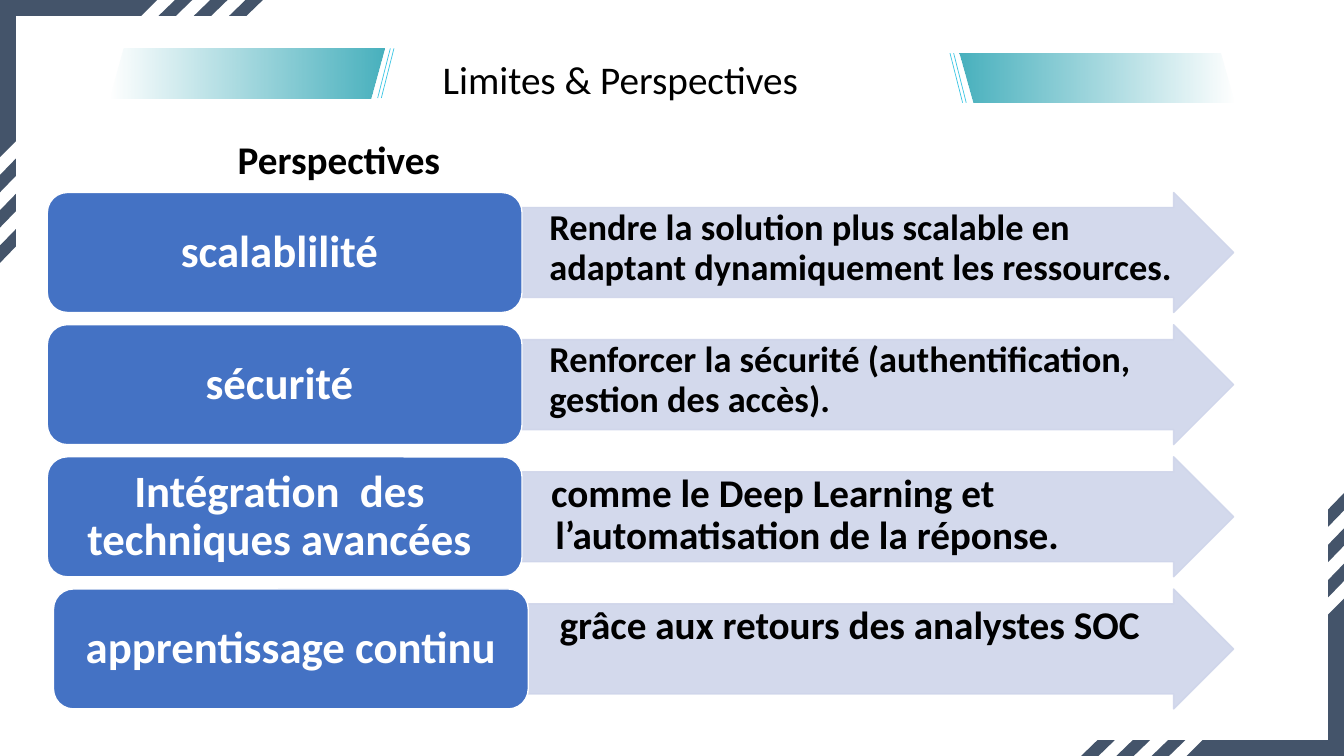
from dataclasses import dataclass

from lxml.etree import SubElement
from pptx import Presentation
from pptx.dml.color import RGBColor
from pptx.enum.shapes import MSO_CONNECTOR, MSO_SHAPE
from pptx.enum.text import MSO_ANCHOR, MSO_AUTO_SIZE, PP_ALIGN
from pptx.oxml.ns import qn
from pptx.util import Pt

WIDE, HIGH = 960, 540


@dataclass(frozen=True)
class Theme:
    font: str = "Calibri"
    ink: str = "000000"
    white: str = "FFFFFF"
    frame: str = "44546A"
    teal: str = "48B1BE"
    cyan: str = "3CC6E4"
    label: str = "4472C4"
    arrow: str = "CFD5EA"
    head: int = 28
    big: int = 32
    small: int = 26


@dataclass(frozen=True)
class Row:
    label: str
    text: str
    size: int
    margin: float
    indent: float = 0
    tail: float = 0  # extra right inset of the label
    shift: float = 0


THEME = Theme()
ROWS = [
    Row("scalablilité", "Rendre la solution plus scalable en adaptant dynamiquement les ressources.",
        THEME.small, 18, tail=7.4),
    Row("sécurité", "Renforcer la sécurité (authentification, gestion des accès).",
        THEME.small, 18, tail=7.4),
    Row("Intégration  des techniques avancées",
        "comme le Deep Learning et l’automatisation de la réponse.",
        THEME.head, 22.3, indent=-3, tail=7.4),
    Row("apprentissage continu", "grâce aux retours des analystes SOC",
        THEME.head, 22.3, indent=3, shift=4.4),
]
ROW_TOP, ROW_STEP, ROW_HIGH = 137.5, 94.4, 85.7


def rgb(code: str) -> RGBColor:
    return RGBColor.from_string(code)


def fade(node, share: int) -> None:
    """Set the opacity, in percent, of every colour below node."""
    for color in node.iter(qn("a:srgbClr")):
        SubElement(color, qn("a:alpha")).set("val", str(share * 1000))


def write(frame, text: str, size: int, color: str, bold: bool = True,
          align=PP_ALIGN.LEFT):
    frame.word_wrap = True
    para = frame.paragraphs[0]
    para.alignment = align
    run = para.add_run()
    run.text = text
    font = run.font
    font.name, font.size, font.bold = THEME.font, Pt(size), bold
    font.color.rgb = rgb(color)
    return para


def inset(frame, left: float, top: float, right: float) -> None:
    frame.margin_left, frame.margin_right = Pt(left), Pt(right)
    frame.margin_top = frame.margin_bottom = Pt(top)


def block(slide, kind, left: float, top: float, width: float, high: float):
    shape = slide.shapes.add_shape(kind, Pt(left), Pt(top), Pt(width), Pt(high))
    shape.shadow.inherit = False
    return shape


def paint(shape, fill: str, line: str) -> None:
    shape.fill.solid()
    shape.fill.fore_color.rgb = rgb(fill)
    shape.line.color.rgb = rgb(line)
    shape.line.width = Pt(1)


def title(slide) -> None:
    shape = slide.shapes.title
    shape.left, shape.top, shape.width, shape.height = Pt(309), Pt(36), Pt(348.5), Pt(41)
    frame = shape.text_frame
    frame.vertical_anchor = MSO_ANCHOR.MIDDLE
    frame.auto_size = MSO_AUTO_SIZE.SHAPE_TO_FIT_TEXT
    write(frame, "Limites & Perspectives", THEME.head, THEME.ink, False, PP_ALIGN.JUSTIFY)


def ribbon(slide, top: float, flip: bool) -> None:
    """Draw a fading band with two slanted lines beside the title."""
    left, width, high = 78.5, 195.8, 35.4
    start = WIDE - left - width if flip else left
    band = block(slide, MSO_SHAPE.PARALLELOGRAM, start, top, width, high)
    band.adjustments[0] = 0.283
    band.line.fill.background()
    band.fill.gradient()
    band.fill.gradient_angle = 180
    for stop in band.fill.gradient_stops:
        stop.color.rgb = rgb(THEME.teal)
    fade(band.element.spPr.findall(".//" + qn("a:gs"))[-1], 0)
    if flip:
        band.element.spPr.find(qn("a:xfrm")).set("flipH", "1")
    for x in (278.8, 281.4):
        ends = [WIDE - e if flip else e for e in (x, x - 9)]
        line = slide.shapes.add_connector(
            MSO_CONNECTOR.STRAIGHT, Pt(ends[0]), Pt(top), Pt(ends[1]), Pt(top + high))
        line.line.color.rgb = rgb(THEME.cyan)
        line.line.width = Pt(0.5)
        SubElement(line.element.spPr, qn("a:effectLst"))


def corner(slide, far: bool) -> None:
    """Draw both striped arms of the top left or the bottom right corner."""
    deep = 11.3
    parts = [[(0, 0), (112.3, 0), (101, deep), (0, deep)]]
    for i in range(3):
        x = 113.3 + 25.2 * i
        parts.append([(x, deep), (x + 11.7, 0), (x + 24.1, 0), (x + 12.4, deep)])
    for upright in (True, False):
        for part in parts:
            dots = [(y, x) if upright else (x, y) for x, y in part]
            if far:
                dots = [(WIDE - x, HIGH - y) for x, y in dots]
            dots = [(Pt(x), Pt(y)) for x, y in dots]
            pen = slide.shapes.build_freeform(*dots[0])
            pen.add_line_segments(dots[1:], close=True)
            shape = pen.convert_to_shape()
            shape.shadow.inherit = False
            shape.fill.solid()
            shape.fill.fore_color.rgb = rgb(THEME.frame)
            shape.line.fill.background()


def draw_row(slide, row: Row, top: float) -> None:
    arrow = block(slide, MSO_SHAPE.RIGHT_ARROW, 373, top, 508.2, ROW_HIGH)
    arrow.adjustments[0], arrow.adjustments[1] = 0.75, 0.5
    paint(arrow, THEME.arrow, THEME.arrow)
    fade(arrow.element.spPr, 90)
    frame = arrow.text_frame
    frame.vertical_anchor = MSO_ANCHOR.TOP
    inset(frame, 1.4, 1.4, 10)
    para = write(frame, row.text, row.size, THEME.ink)
    para.line_spacing = 0.9
    form = arrow.element.find(".//" + qn("a:pPr"))
    form.set("marL", str(Pt(row.margin)))
    form.set("indent", str(Pt(row.indent)))

    label = block(slide, MSO_SHAPE.ROUNDED_RECTANGLE, 33.8 + row.shift, top, 339.1, ROW_HIGH)
    paint(label, THEME.label, THEME.white)
    frame = label.text_frame
    frame.vertical_anchor = MSO_ANCHOR.MIDDLE
    inset(frame, 9.4, 5, 9.4 + row.tail)
    para = write(frame, row.label, THEME.big, THEME.white, align=PP_ALIGN.CENTER)
    para.line_spacing = 0.9


def main() -> None:
    deck = Presentation()
    deck.slide_width, deck.slide_height = Pt(WIDE), Pt(HIGH)
    slide = deck.slides.add_slide(deck.slide_layouts[5])
    title(slide)
    ribbon(slide, 34.6, False)
    ribbon(slide, 38, True)
    for far in (False, True):
        corner(slide, far)
    for i, row in enumerate(ROWS):
        draw_row(slide, row, ROW_TOP + i * ROW_STEP)
    box = slide.shapes.add_textbox(Pt(162.7), Pt(93), Pt(480), Pt(41))
    write(box.text_frame, "Perspectives", THEME.head, THEME.ink)
    deck.save("out.pptx")


if __name__ == "__main__":
    main()
